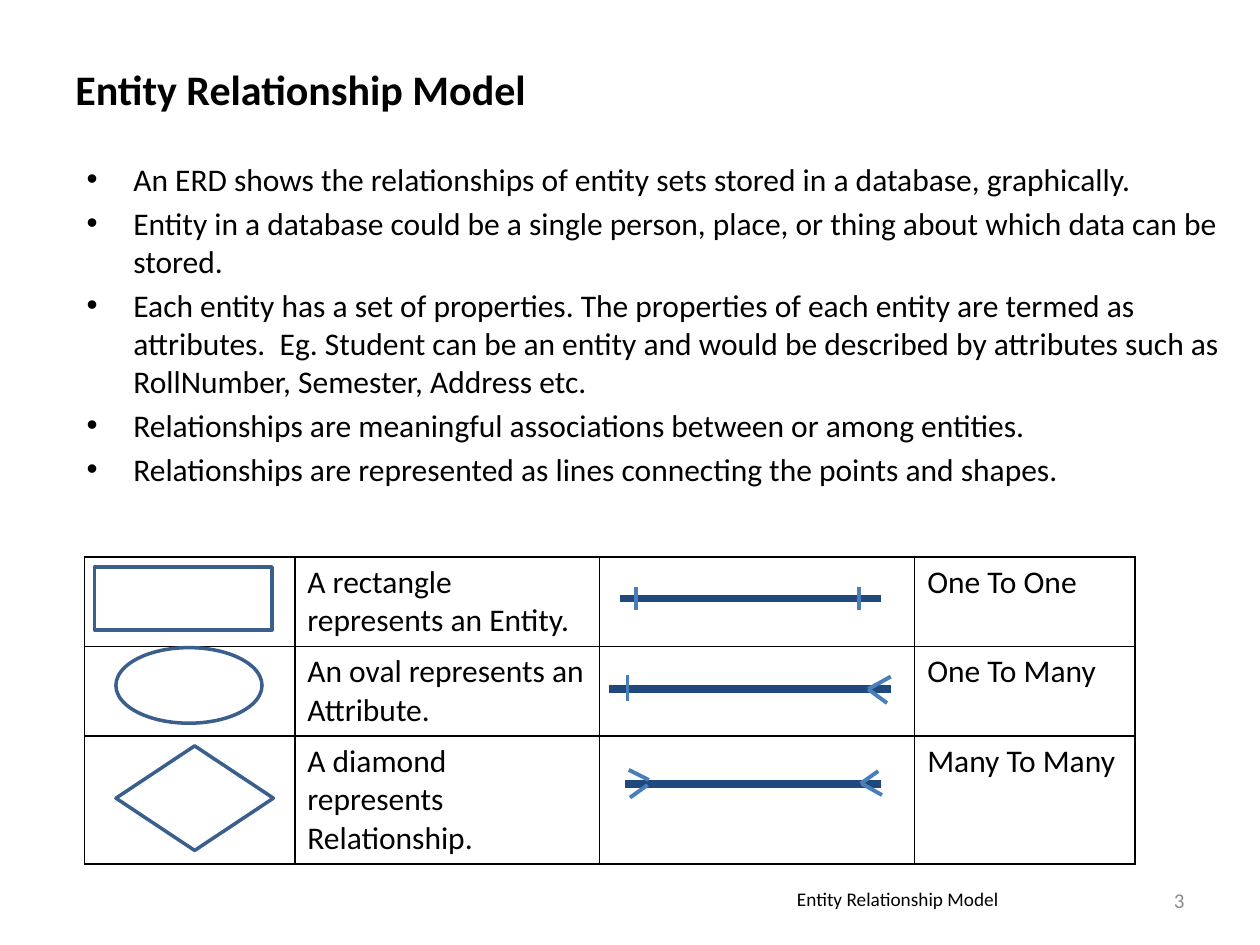
from lxml import etree
from pptx import Presentation
from pptx.dml.color import RGBColor
from pptx.enum.shapes import MSO_CONNECTOR as Connector, MSO_SHAPE as Shape
from pptx.enum.text import MSO_ANCHOR as Anchor, PP_ALIGN as Align
from pptx.oxml.ns import qn
from pptx.util import Inches, Pt

BLACK = RGBColor(0x00, 0x00, 0x00)
GRAY = RGBColor(0x8B, 0x8B, 0x8B)
OUTLINE = RGBColor(0x3A, 0x5F, 0x8C)
NAVY = RGBColor(0x1F, 0x49, 0x7D)
BLUE = RGBColor(0x4A, 0x7E, 0xBB)

TITLE = "Entity Relationship Model"
POINTS = [
    "An ERD shows the relationships of entity sets stored in a database, graphically.",
    "Entity in a database could be a single person, place, or thing about which "
    "data can be stored.",
    "Each entity has a set of properties. The properties of each entity are termed as "
    "attributes.  Eg. Student can be an entity and would be described by attributes "
    "such as RollNumber, Semester, Address etc.",
    "Relationships are meaningful associations between or among entities.",
    "Relationships are represented as lines connecting the points and shapes.",
]
LEGEND = [
    ("", "A rectangle represents an Entity.", "", "One To One"),
    ("", "An oval represents an Attribute.", "", "One To Many"),
    ("", "A diamond represents Relationship.", "", "Many To Many"),
]
COLUMN_WIDTHS = [1.67, 2.42, 2.5, 1.75]
ROW_HEIGHTS = [0.71, 0.71, 1.01]

SYMBOLS = [
    (Shape.RECTANGLE, 0.75, 4.5, 1.41, 0.5),
    (Shape.OVAL, 0.92, 5.14, 1.16, 0.6),
    (Shape.DIAMOND, 0.92, 5.92, 1.25, 0.83),
]
# Each relationship: the bar, then the marks at its ends
RELATIONSHIPS = [
    ((4.92, 4.75, 6.99, 4.75),
     [(5.05, 4.66, 5.05, 4.84), (6.82, 4.66, 6.82, 4.84)]),
    ((4.83, 5.47, 7.07, 5.47),
     [(4.98, 5.56, 4.98, 5.36), (6.89, 5.47, 7.07, 5.37), (7.04, 5.58, 6.89, 5.47)]),
    ((4.96, 6.22, 6.99, 6.22),
     [(6.84, 6.22, 7, 6.31), (4.99, 6.11, 5.15, 6.19),
      (6.97, 6.12, 6.83, 6.22), (5.14, 6.23, 5, 6.33)]),
]


class SlideBuilder:
    font_name = "Calibri"
    body_size = 18

    def __init__(self, slide):
        self.slide = slide

    def add_text(self, paragraph, text, size=body_size, color=BLACK, bold=False):
        run = paragraph.add_run()
        run.text = text
        run.font.name = self.font_name
        run.font.size = Pt(size)
        run.font.bold = bold
        run.font.color.rgb = color

    def box(self, left, top, width, height, anchor=Anchor.MIDDLE):
        shape = self.slide.shapes.add_textbox(*map(Inches, (left, top, width, height)))
        frame = shape.text_frame
        frame.word_wrap = True
        frame.vertical_anchor = anchor
        return frame

    def label(self, bounds, text, align=Align.LEFT, **style):
        paragraph = self.box(*bounds).paragraphs[0]
        paragraph.alignment = align
        self.add_text(paragraph, text, **style)

    def bullets(self, bounds, points):
        frame = self.box(*bounds, anchor=Anchor.TOP)
        for index, point in enumerate(points):
            paragraph = frame.add_paragraph() if index else frame.paragraphs[0]
            properties = paragraph._p.get_or_add_pPr()
            properties.set("marL", str(Inches(0.38)))
            properties.set("indent", str(Inches(-0.37)))
            etree.SubElement(properties, qn("a:buFont"), typeface="Arial")
            etree.SubElement(properties, qn("a:buChar"), char="•")
            if index:
                paragraph.space_before = Pt(3.6)
            self.add_text(paragraph, point)

    def border(self, cell):
        properties = cell._tc.get_or_add_tcPr()
        for position, side in enumerate(("a:lnL", "a:lnR", "a:lnT", "a:lnB")):
            line = etree.Element(qn(side), w=str(Pt(0.96)))
            fill = etree.SubElement(line, qn("a:solidFill"))
            etree.SubElement(fill, qn("a:srgbClr"), val=str(BLACK))
            properties.insert(position, line)

    def table(self, left, top, widths, heights, rows):
        bounds = map(Inches, (left, top, sum(widths), sum(heights)))
        table = self.slide.shapes.add_table(len(rows), len(widths), *bounds).table
        table.first_row = table.horz_banding = False
        for column, width in zip(table.columns, widths):
            column.width = Inches(width)
        for row, height, texts in zip(table.rows, heights, rows):
            row.height = Inches(height)
            for cell, text in zip(row.cells, texts):
                cell.fill.background()
                self.border(cell)
                if text:
                    self.add_text(cell.text_frame.paragraphs[0], text)

    def group(self):
        return self.slide.shapes.add_group_shape().shapes

    def outline(self, shapes, kind, *bounds):
        shape = shapes.add_shape(kind, *map(Inches, bounds))
        shape.shadow.inherit = False
        shape.fill.background()
        shape.line.color.rgb = OUTLINE
        shape.line.width = Pt(2)

    def line(self, shapes, ends, color, width):
        connector = shapes.add_connector(Connector.STRAIGHT, *map(Inches, ends))
        connector.line.color.rgb = color
        connector.line.width = Pt(width)
        etree.SubElement(connector._element.spPr, qn("a:effectLst"))


def main():
    presentation = Presentation()
    presentation.slide_width = Inches(10)
    presentation.slide_height = Inches(7.5)
    builder = SlideBuilder(presentation.slides.add_slide(presentation.slide_layouts[6]))

    # Legend table
    builder.table(0.67, 4.42, COLUMN_WIDTHS, ROW_HEIGHTS, LEGEND)

    # Title, points and footer
    builder.label((0.5, 0.08, 9, 1.25), TITLE, size=24, bold=True)
    builder.bullets((0.58, 1.22, 9.25, 4.95), POINTS)
    builder.label((5.92, 7, 2.41, 0.27), TITLE, Align.CENTER, size=11)
    builder.label((7.17, 6.95, 2.33, 0.39), "3", Align.RIGHT, size=12, color=GRAY)

    # Entity, attribute and relationship symbols
    symbols = builder.group()
    for symbol in SYMBOLS:
        builder.outline(symbols, *symbol)

    # Cardinality lines
    for bar, marks in RELATIONSHIPS:
        group = builder.group()
        builder.line(group, bar, NAVY, 4.5)
        for mark in marks:
            builder.line(group, mark, BLUE, 2.25)

    presentation.save("out.pptx")


if __name__ == "__main__":
    main()
